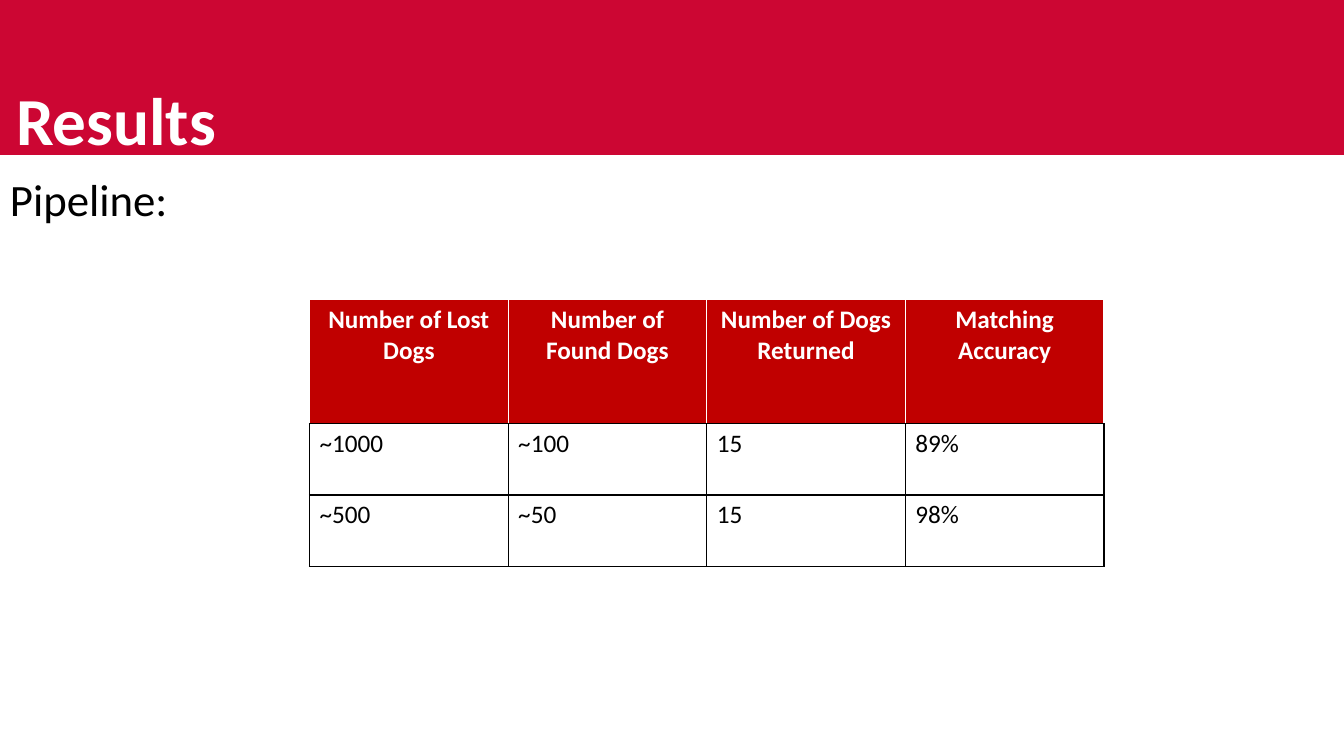
import pptx
import pptx.util
import pptx.dml.color
import pptx.enum.shapes
import pptx.enum.text
import pptx.oxml
import pptx.oxml.ns
from lxml import etree

Inches, Pt = pptx.util.Inches, pptx.util.Pt
ALIGN = pptx.enum.text.PP_ALIGN

# Content
TITLE = "Results"
SUBTITLE = "Pipeline:"
RESULTS = [
    ("Number of Lost Dogs", "Number of Found Dogs", "Number of Dogs Returned", "Matching Accuracy"),
    ("~1000", "~100", "15", "89%"),
    ("~500", "~50", "15", "98%"),
]

# Look
COLORS = {"band": "CC0633", "header": "C00000", "white": "FFFFFF", "black": "000000"}
TITLE_FONT = {"name": "Calibri", "size": Pt(48), "bold": True}
SUBTITLE_FONT = {"name": "Calibri", "size": Pt(32), "bold": False}
HEADER_FONT = {"name": "Calibri", "size": Pt(18), "bold": True}
BODY_FONT = {**HEADER_FONT, "bold": False}
FRAME = {
    "word_wrap": True,
    "vertical_anchor": pptx.enum.text.MSO_ANCHOR.TOP,
    "margin_left": Inches(0.1), "margin_right": Inches(0.1),
    "margin_top": Inches(0.05), "margin_bottom": Inches(0.05),
}
COLUMN_WIDTH = 1.97
ROW_HEIGHTS = [1.23, 0.71, 0.71]


def rgb(color):
    return pptx.dml.color.RGBColor.from_string(COLORS[color])


def write(frame, words, font, color, align=ALIGN.LEFT):
    frame.text = words
    paragraph = frame.paragraphs[0]
    paragraph.alignment = align
    run_font = paragraph.runs[0].font
    for name, value in font.items():
        setattr(run_font, name, value)
    run_font.color.rgb = rgb(color)


def place(shape, left, top, width, height):
    for name, value in zip(("left", "top", "width", "height"), (left, top, width, height)):
        setattr(shape, name, Inches(value))
    for name, value in FRAME.items():
        setattr(shape.text_frame, name, value)


def add_borders(cell, side_colors):
    properties = cell._tc.get_or_add_tcPr()
    # Borders come before the fill, in the order left, right, top, bottom
    for position, (side, color) in enumerate(side_colors.items()):
        line = etree.Element(pptx.oxml.ns.qn("a:ln" + side), w=str(Pt(1)))
        fill = etree.SubElement(line, pptx.oxml.ns.qn("a:solidFill"))
        etree.SubElement(fill, pptx.oxml.ns.qn("a:srgbClr"), val=COLORS[color])
        properties.insert(position, line)


def main():
    deck = pptx.Presentation()
    deck.slide_width, deck.slide_height = Inches(13.33), Inches(7.5)
    slide = deck.slides.add_slide(deck.slide_layouts[5])

    # Title on its red band
    heading = slide.shapes.title
    band = slide.shapes.add_shape(
        pptx.enum.shapes.MSO_SHAPE.RECTANGLE,
        Inches(0), Inches(-0.02), Inches(13.33), Inches(1.55))
    band.shadow.inherit = False
    band.fill.solid()
    band.fill.fore_color.rgb = rgb("band")
    band.line.color.rgb = rgb("band")
    band.line.width = Pt(1)
    heading.element.addprevious(band.element)
    place(heading, 0.06, 0.73, 5.09, 0.91)
    write(heading.text_frame, TITLE, TITLE_FONT, "white")

    # Subtitle
    subtitle = slide.shapes.add_textbox(0, 0, 0, 0)
    place(subtitle, 0, 1.65, 10.73, 0.64)
    write(subtitle.text_frame, SUBTITLE, SUBTITLE_FONT, "black")

    # Results table
    column_count = len(RESULTS[0])
    results = slide.shapes.add_table(
        len(RESULTS), column_count, Inches(3.07), Inches(2.97),
        Inches(COLUMN_WIDTH * column_count), Inches(sum(ROW_HEIGHTS))).table
    for column in results.columns:
        column.width = Inches(COLUMN_WIDTH)
    for row, height in zip(results.rows, ROW_HEIGHTS):
        row.height = Inches(height)
    for row_index, values in enumerate(RESULTS):
        is_header = row_index == 0
        edge = "white" if is_header else "black"
        for column_index, value in enumerate(values):
            cell = results.cell(row_index, column_index)
            cell.fill.solid()
            cell.fill.fore_color.rgb = rgb("header" if is_header else "white")
            write(cell.text_frame, value,
                  HEADER_FONT if is_header else BODY_FONT, edge,
                  ALIGN.CENTER if is_header else ALIGN.LEFT)
            add_borders(cell, {"L": edge, "R": edge, "T": edge, "B": "black"})

    deck.save("out.pptx")


if __name__ == "__main__":
    main()
